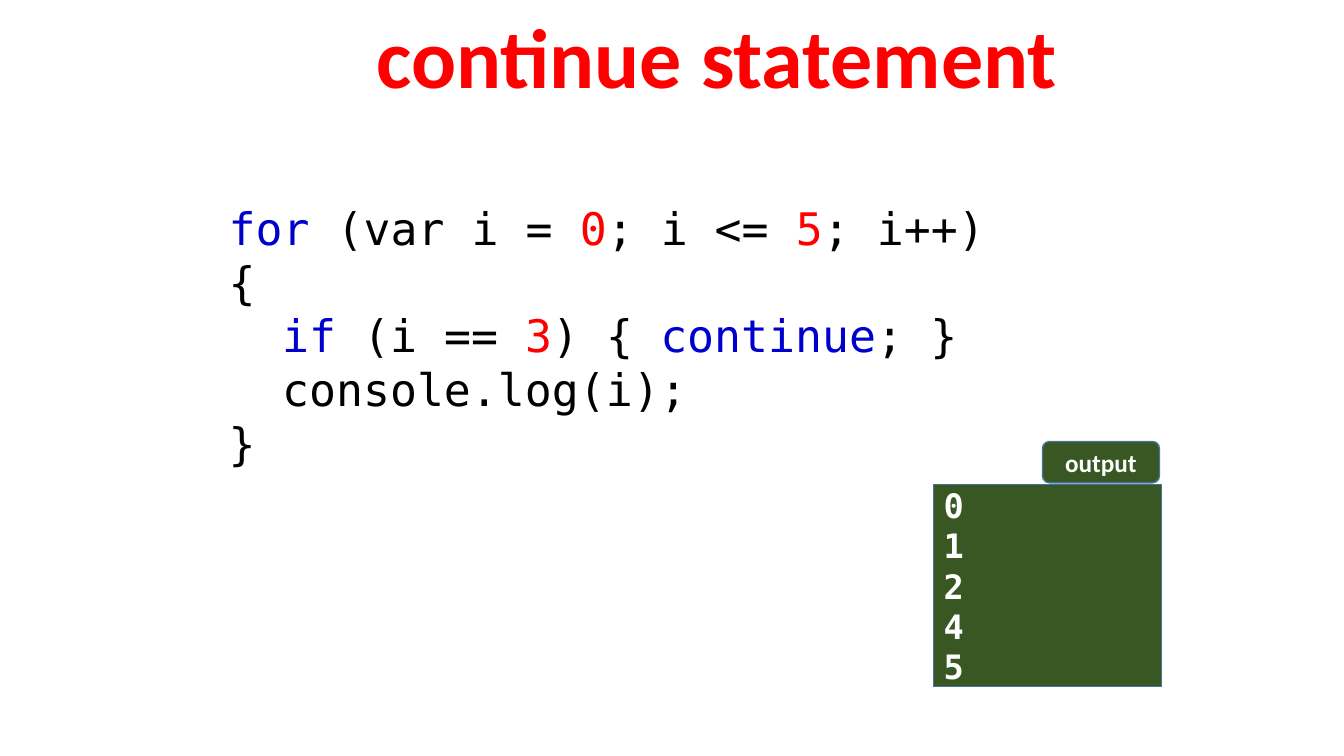
from dataclasses import dataclass

import pptx
import pptx.dml.color
import pptx.enum.shapes
import pptx.enum.text
import pptx.util

Inches = pptx.util.Inches
Pt = pptx.util.Pt
Align = pptx.enum.text.PP_ALIGN
Anchor = pptx.enum.text.MSO_ANCHOR
Preset = pptx.enum.shapes.MSO_SHAPE

COLORS = {
    "plain": "000000",
    "keyword": "0000CD",
    "number": "FF0000",
    "title": "FF0000",
    "panel": "385723",
    "border": "43739E",
    "light": "FFFFFF",
}
MONO = "DejaVu Sans Mono"
SANS = "Calibri"


@dataclass(frozen=True)
class Style:
    font: str
    size: int
    bold: bool = False
    align: Align = Align.LEFT
    spacing: float = 1.0


@dataclass(frozen=True)
class Token:
    text: str
    color: str = "plain"


@dataclass(frozen=True)
class Line:
    tokens: tuple[Token, ...]
    indent: float = 0


@dataclass(frozen=True)
class Block:
    left: float
    top: float
    width: float
    height: float
    lines: tuple[Line, ...]
    style: Style
    anchor: Anchor = Anchor.MIDDLE
    preset: Preset | None = None


CODE_INDENT = 0.53

CODE = (
    Line((Token("for", "keyword"), Token(" (var i = "), Token("0", "number"),
          Token("; i <= "), Token("5", "number"), Token("; i++)"))),
    Line((Token("{"),)),
    Line((Token("if", "keyword"), Token(" (i == "), Token("3", "number"),
          Token(") { "), Token("continue", "keyword"), Token("; }")), CODE_INDENT),
    Line((Token("console.log(i);"),), CODE_INDENT),
    Line((Token("}"),)),
)
OUTPUT = tuple(Line((Token(value, "light"),)) for value in "01245")

BLOCKS = (
    Block(2.17, 1.94, 8.47, 2.79, CODE, Style(MONO, 32), Anchor.TOP),
    Block(0.89, 0.07, 12.44, 1.08, (Line((Token("continue statement", "title"),)),),
          Style(SANS, 60, True, Align.CENTER, 0.9)),
    Block(9.26, 4.81, 2.26, 2, OUTPUT, Style(MONO, 24, True), preset=Preset.RECTANGLE),
    Block(10.34, 4.38, 1.16, 0.41, (Line((Token("output", "light"),)),),
          Style(SANS, 18, True, Align.CENTER), preset=Preset.ROUNDED_RECTANGLE),
)


def rgb(name: str) -> pptx.dml.color.RGBColor:
    return pptx.dml.color.RGBColor.from_string(COLORS[name])


def write_lines(frame, lines: tuple[Line, ...], style: Style) -> None:
    for index, line in enumerate(lines):
        paragraph = frame.add_paragraph() if index else frame.paragraphs[0]
        paragraph.alignment = style.align
        paragraph.line_spacing = style.spacing
        if line.indent:
            paragraph._p.get_or_add_pPr().set("marL", str(Inches(line.indent)))
        for token in line.tokens:
            run = paragraph.add_run()
            run.text = token.text
            run.font.name = style.font
            run.font.size = Pt(style.size)
            run.font.bold = style.bold
            run.font.color.rgb = rgb(token.color)


def draw_block(slide, block: Block) -> None:
    """Draw a text box, or a filled panel when the block has a preset."""
    bounds = [Inches(n) for n in (block.left, block.top, block.width, block.height)]
    if block.preset is None:
        shape = slide.shapes.add_textbox(*bounds)
    else:
        shape = slide.shapes.add_shape(block.preset, *bounds)
        shape.shadow.inherit = False
        shape.fill.solid()
        shape.fill.fore_color.rgb = rgb("panel")
        shape.line.color.rgb = rgb("border")
        shape.line.width = Pt(1)
    shape.text_frame.word_wrap = True
    shape.text_frame.vertical_anchor = block.anchor
    write_lines(shape.text_frame, block.lines, block.style)


def main() -> None:
    deck = pptx.Presentation()
    deck.slide_width = Inches(13.33)
    deck.slide_height = Inches(7.5)
    slide = deck.slides.add_slide(deck.slide_layouts[6])
    for block in BLOCKS:
        draw_block(slide, block)
    deck.save("out.pptx")


if __name__ == "__main__":
    main()
